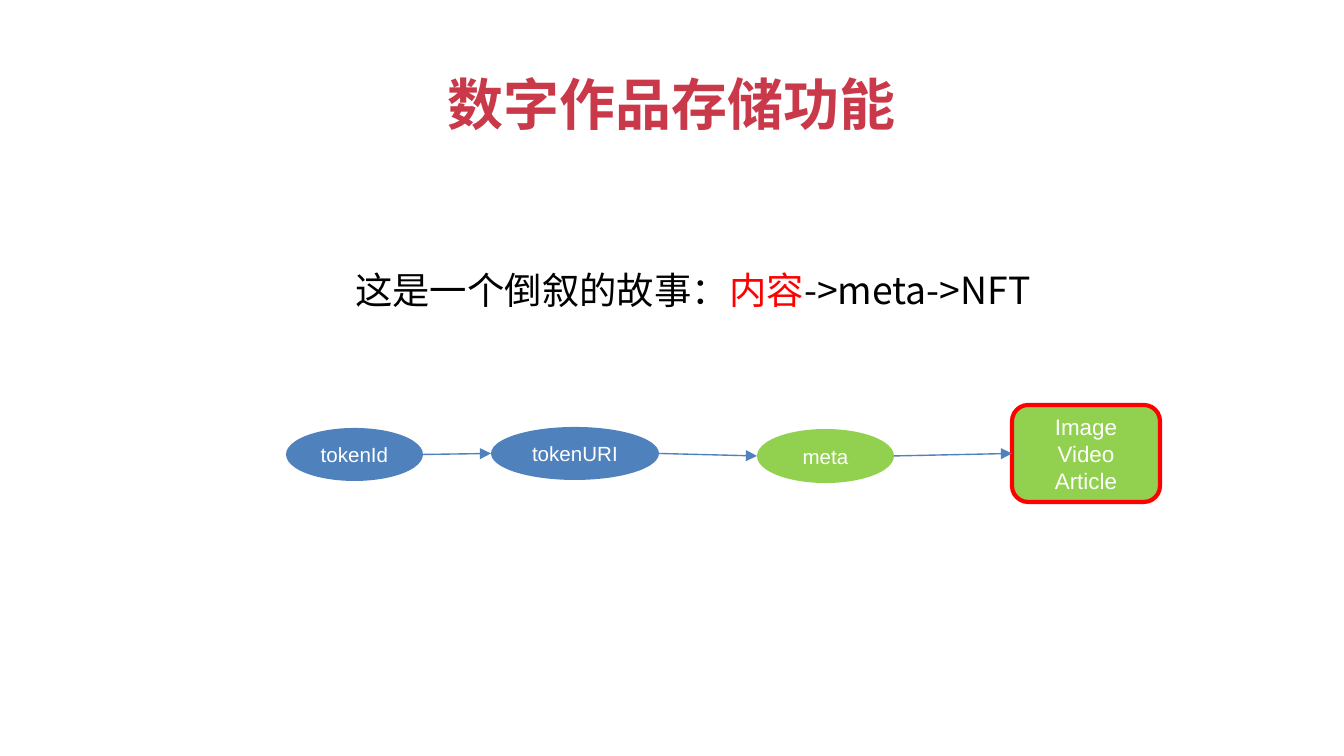
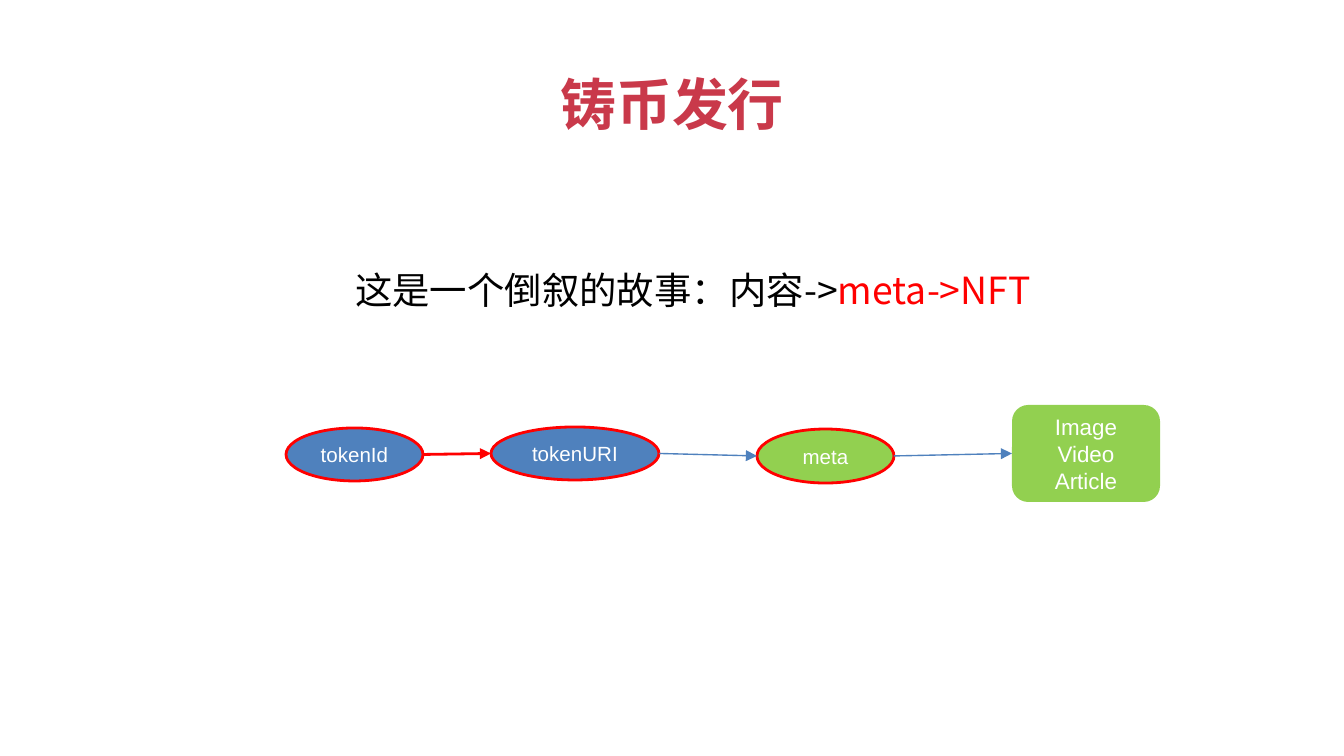
from lxml import etree
from pptx import Presentation
from pptx.dml.color import RGBColor
from pptx.enum.shapes import MSO_CONNECTOR, MSO_SHAPE
from pptx.enum.text import MSO_ANCHOR, MSO_AUTO_SIZE, PP_ALIGN
from pptx.oxml.ns import qn
from pptx.util import Emu, Pt

ELLIPSE, ROUNDED = MSO_SHAPE.OVAL, MSO_SHAPE.ROUNDED_RECTANGLE
STRAIGHT = MSO_CONNECTOR.STRAIGHT
TOP, MIDDLE = MSO_ANCHOR.TOP, MSO_ANCHOR.MIDDLE
CENTER, JUSTIFY = PP_ALIGN.CENTER, PP_ALIGN.JUSTIFY
LEFT_SIDE = 1
TITLE_ONLY = 5

CRIMSON = RGBColor(0xC9, 0x39, 0x4A)
BLACK = RGBColor(0, 0, 0)
RED = RGBColor(0xFF, 0, 0)
WHITE = RGBColor(0xFF, 0xFF, 0xFF)
BLUE = RGBColor(0x4F, 0x81, 0xBD)
GREEN = RGBColor(0x92, 0xD0, 0x50)

LATIN_FONT = "Arial"
CJK_FONT = "Noto Sans CJK SC"
PAGE_WIDTH, PAGE_HEIGHT = 1344, 756

# Chain of nodes: text, preset, left, top, width, height, fill, text size
NODES = [
    ("tokenId", ELLIPSE, 286, 428, 137, 53, BLUE, 11),
    ("tokenURI", ELLIPSE, 491, 427, 168, 53, BLUE, 11),
    ("meta", ELLIPSE, 757, 429, 137, 54, GREEN, 11),
    ("Image\nVideo\nArticle", ROUNDED, 1012, 405, 148, 97, GREEN, 12),
]


def px(length):
    return Emu(round(length * 914400 / 134.4))


def set_font(para, name, size, color=None, bold=False):
    font = para.font
    font.name, font.size, font.bold = name, Pt(size), bold
    if color is not None:
        font.color.rgb = color
    properties = para._p.get_or_add_pPr().find(qn("a:defRPr"))
    etree.SubElement(properties, qn("a:ea"), typeface=name)


def add_title(page, text):
    title = page.shapes.title
    width = 57 * len(text) + 24
    title.left, title.top = px((PAGE_WIDTH - width) // 2), px(63)
    title.width, title.height = px(width), px(82)
    frame = title.text_frame
    frame.text = text
    frame.word_wrap = False
    frame.auto_size = MSO_AUTO_SIZE.SHAPE_TO_FIT_TEXT
    frame.vertical_anchor = TOP
    para = frame.paragraphs[0]
    para.alignment = CENTER
    set_font(para, CJK_FONT, 30, CRIMSON, bold=True)


def add_story(page, spans):
    left = 303
    box = page.shapes.add_textbox(px(left), px(252), px(PAGE_WIDTH - left), px(75))
    frame = box.text_frame
    frame.word_wrap = True
    frame.vertical_anchor = MIDDLE
    para = frame.paragraphs[0]
    para.alignment = JUSTIFY
    para._p.get_or_add_pPr().set("marL", str(px(39)))
    set_font(para, CJK_FONT, 20)
    for text, color in spans:
        span = para.add_run()
        span.text = text
        span.font.color.rgb = color


def add_node(page, node, outline):
    text, preset, left, top, width, height, fill, size = node
    shape = page.shapes.add_shape(preset, px(left), px(top), px(width), px(height))
    shape.shadow.inherit = False
    shape.fill.solid()
    shape.fill.fore_color.rgb = fill
    if outline:
        shape.line.color.rgb = RED
        shape.line.width = Pt(outline)
    else:
        shape.line.fill.background()
    frame = shape.text_frame
    frame.text = text
    frame.word_wrap = False
    frame.vertical_anchor = MIDDLE
    for para in frame.paragraphs:
        para.alignment = CENTER
        set_font(para, LATIN_FONT, size, WHITE)
    return shape


def add_arrow(page, source, target, color, width):
    arrow = page.shapes.add_connector(
        STRAIGHT,
        source.left + source.width, source.top + source.height // 2,
        target.left, target.top + target.height // 2)
    if target.auto_shape_type == ROUNDED:
        arrow.end_connect(target, LEFT_SIDE)
    arrow.line.color.rgb = color
    arrow.line.width = Pt(width)
    etree.SubElement(arrow.line._get_or_add_ln(), qn("a:tailEnd"), type="triangle")
    etree.SubElement(arrow._element.spPr, qn("a:effectLst"))


def add_chain(page, outlines, first_arrow):
    shapes = [add_node(page, node, outline) for node, outline in zip(NODES, outlines)]
    arrows = [first_arrow, (BLUE, 0.75), (BLUE, 0.75)]
    for source, target, (color, width) in zip(shapes, shapes[1:], arrows):
        add_arrow(page, source, target, color, width)


def add_page(deck, title, story, outlines, first_arrow):
    page = deck.slides.add_slide(deck.slide_layouts[TITLE_ONLY])
    add_title(page, title)
    add_story(page, story)
    add_chain(page, outlines, first_arrow)


def main():
    deck = Presentation()
    deck.slide_width, deck.slide_height = px(PAGE_WIDTH), px(PAGE_HEIGHT)

    # Storage: the content is highlighted
    add_page(deck, "数字作品存储功能",
             [("这是一个倒叙的故事：", BLACK), ("内容", RED), ("->meta->NFT", BLACK)],
             [0, 0, 0, 2.25], (BLUE, 0.75))

    # Minting: the token and its metadata are highlighted
    add_page(deck, "铸币发行",
             [("这是一个倒叙的故事：内容->", BLACK), ("meta->NFT", RED)],
             [1.5, 1.5, 1.5, 0], (RED, 1.5))

    deck.save("out.pptx")


if __name__ == "__main__":
    main()
